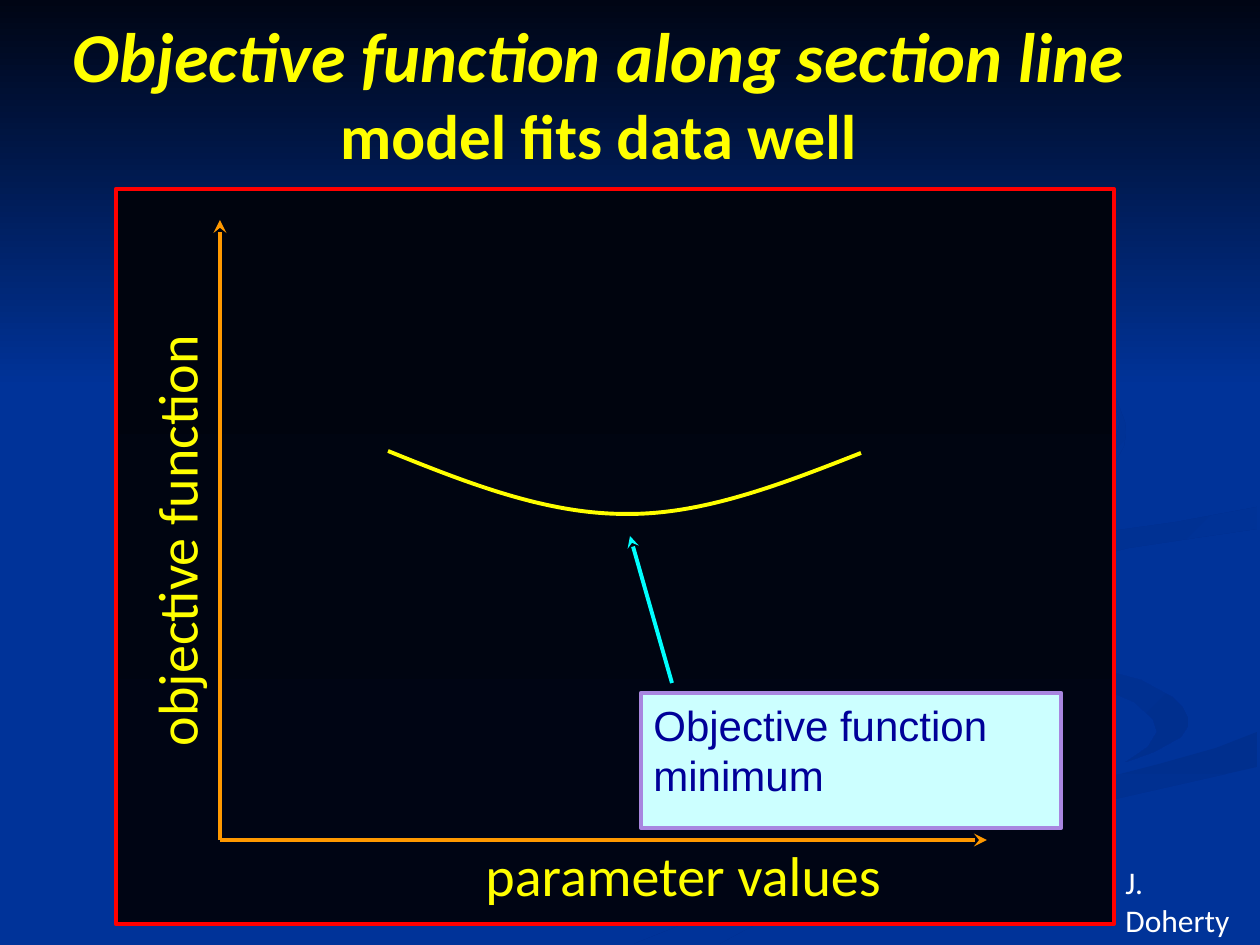
from lxml import etree
from pptx import Presentation
from pptx.dml.color import RGBColor
from pptx.enum.shapes import MSO_CONNECTOR, MSO_SHAPE
from pptx.enum.text import MSO_ANCHOR, MSO_AUTO_SIZE, PP_ALIGN
from pptx.oxml.ns import qn
from pptx.util import Emu, Pt

STRAIGHT = MSO_CONNECTOR.STRAIGHT
RECTANGLE = MSO_SHAPE.RECTANGLE
TOP = MSO_ANCHOR.TOP
NO_FIT = MSO_AUTO_SIZE.NONE
LEFT, CENTER = PP_ALIGN.LEFT, PP_ALIGN.CENTER

PX = 914400 / 126
TITLE_ONLY = 5

BLUE = RGBColor(0x00, 0x33, 0x99)
SHADE = RGBColor(0x00, 0x2F, 0x8E)
MIDNIGHT = RGBColor(0x00, 0x05, 0x14)
BLACK = RGBColor(0x00, 0x04, 0x0E)
RED = RGBColor(0xFF, 0x00, 0x00)
ORANGE = RGBColor(0xFF, 0x99, 0x00)
YELLOW = RGBColor(0xFF, 0xFF, 0x00)
CYAN = RGBColor(0x00, 0xFF, 0xFF)
PALE = RGBColor(0xCC, 0xFF, 0xFF)
VIOLET = RGBColor(0xA8, 0x86, 0xE0)
NAVY = RGBColor(0x00, 0x00, 0x99)
WHITE = RGBColor(0xFF, 0xFF, 0xFF)

# Background ribbons: gradient angle, first and last colour, outline
RIBBONS = [
    (315, SHADE, BLUE, [
        (1050, 510), (1089, 488), (1113, 466), (1124, 446), (1126, 433), (1125, 422),
        (1116, 398), (1100, 377), (1076, 357), (1034, 329), (960, 294), (1040, 335),
        (1086, 368), (1111, 394), (1120, 422), (1116, 438), (1104, 454), (1084, 466),
        (1046, 482), (924, 509), (860, 542)]),
    (315, SHADE, BLUE, [
        (984, 580), (985, 591), (1002, 609), (1041, 625), (1014, 606), (1014, 595),
        (1023, 582), (1062, 564), (1129, 548), (1202, 537), (1257, 529), (1257, 507),
        (1176, 522), (1090, 534), (1035, 546), (996, 563)]),
    (315, BLUE, SHADE, [
        (1188, 718), (1183, 708), (1172, 697), (1141, 680), (1096, 668), (1046, 654),
        (975, 634), (924, 609), (912, 585), (924, 615), (965, 645), (1027, 668),
        (1094, 685), (1134, 702), (1153, 719), (1157, 732), (1148, 747), (1126, 762),
        (1154, 752), (1181, 737), (1188, 726)]),
    (270, SHADE, BLUE, [
        (634, 944), (719, 944), (756, 924), (844, 880), (950, 841), (1085, 806),
        (1257, 767), (1257, 732), (1216, 748), (1159, 764), (1047, 793), (963, 816),
        (794, 873), (684, 924)]),
]


def emu(*lengths):
    return [Emu(round(length * PX)) for length in lengths]


class SlideBuilder:
    def __init__(self, page, font="Calibri"):
        self.page = page
        self.shapes = page.shapes
        self.font = font

    def gradient(self, shape, first, last, angle=270):
        shape.fill.gradient()
        shape.fill.gradient_angle = angle
        for stop, color in zip(shape.fill.gradient_stops, (first, last)):
            stop.color.rgb = color

    def outline(self, shape, color, width):
        shape.line.color.rgb = color
        shape.line.width = Pt(width)

    def rectangle(self, *place):
        box = self.shapes.add_shape(RECTANGLE, *emu(*place))
        box.shadow.inherit = False
        box.line.fill.background()
        return box

    def freeform(self, points, closed=True):
        builder = self.shapes.build_freeform(*points[0], scale=PX)
        builder.add_line_segments(points[1:], close=closed)
        shape = builder.convert_to_shape()
        shape.shadow.inherit = False
        shape.line.fill.background()
        return shape

    def curve(self, points, color, width):
        shape = self.freeform(points, closed=False)
        shape.fill.background()
        self.outline(shape, color, width)
        # Every three straight segments become one Bezier segment
        segments = list(shape._element.iter(qn("a:lnTo")))
        for start in range(0, len(segments), 3):
            bezier = etree.Element(qn("a:cubicBezTo"))
            segments[start].addprevious(bezier)
            for segment in segments[start:start + 3]:
                bezier.append(segment[0])
                segment.getparent().remove(segment)

    def arrow(self, start, end, color, width):
        line = self.shapes.add_connector(STRAIGHT, *emu(*start, *end))
        self.outline(line, color, width)
        line_format = line._element.spPr.find(qn("a:ln"))
        etree.SubElement(line_format, qn("a:tailEnd"), type="stealth")
        etree.SubElement(line._element.spPr, qn("a:effectLst"))

    def add_lines(self, box, lines, color, align=LEFT, font=None, wrap=False):
        """Fill a shape with (text, size) lines."""
        frame = box.text_frame
        frame.text = "\n".join(text for text, size in lines)
        frame.word_wrap = wrap
        frame.auto_size = NO_FIT
        frame.vertical_anchor = TOP
        for para, (text, size) in zip(frame.paragraphs, lines):
            para.alignment = align
            for span in para.runs:
                span.font.name = font or self.font
                span.font.size = Pt(size)
                span.font.color.rgb = color

    def label(self, place, text, size, color, rotation=0, wrap=False):
        box = self.shapes.add_textbox(*emu(*place))
        box.rotation = rotation
        self.add_lines(box, [(text, size)], color, wrap=wrap)

    def title(self, place, lines, color):
        box = self.shapes.title
        box.left, box.top, box.width, box.height = emu(*place)
        self.add_lines(box, lines, color, CENTER)
        for para in box.text_frame.paragraphs:
            para.runs[0].font.bold = True
        box.text_frame.paragraphs[0].runs[0].font.italic = True
        # Bring the title in front of the background band
        self.shapes._spTree.append(box._element)


def main():
    deck = Presentation()
    deck.slide_width, deck.slide_height = emu(1260, 945)
    page = deck.slides.add_slide(deck.slide_layouts[TITLE_ONLY])
    slide = SlideBuilder(page)

    # Background
    page.background.fill.solid()
    page.background.fill.fore_color.rgb = BLUE
    for angle, first, last, points in RIBBONS:
        slide.gradient(slide.freeform(points), first, last, angle)
    slide.gradient(slide.rectangle(0, 0, 1260, 388), MIDNIGHT, BLUE)

    # Title
    slide.title((43, 6, 1111, 174),
                [("Objective function along section line", 40),
                 ("model fits data well", 36)], YELLOW)

    # Graph panel with axes
    panel = slide.rectangle(116, 189, 998, 735)
    slide.gradient(panel, BLACK, MIDNIGHT)
    slide.outline(panel, RED, 2.5)
    origin = (220, 840)
    slide.arrow(origin, (220, 220), ORANGE, 2.5)
    slide.arrow(origin, (987, 840), ORANGE, 2.5)
    slide.label((473, 834, 444, 81), "parameter values", 32, YELLOW)
    slide.label((-52, 490, 456, 81), "objective function", 32, YELLOW, rotation=270)

    # Objective function and its minimum
    slide.curve([(388, 451), (467, 483), (546, 514), (625, 514),
                 (703, 515), (782, 484), (861, 453)], YELLOW, 2.25)
    callout = slide.rectangle(641, 693, 420, 135)
    callout.fill.solid()
    callout.fill.fore_color.rgb = PALE
    slide.outline(callout, VIOLET, 2.5)
    slide.add_lines(callout, [("Objective function", 24), ("minimum", 24)], NAVY, font="Arial")
    slide.arrow((672, 683), (630, 536), CYAN, 2.25)

    # Credit
    slide.label((1113, 857, 147, 88), "J. Doherty", 18, WHITE, wrap=True)

    deck.save("out.pptx")


if __name__ == "__main__":
    main()
